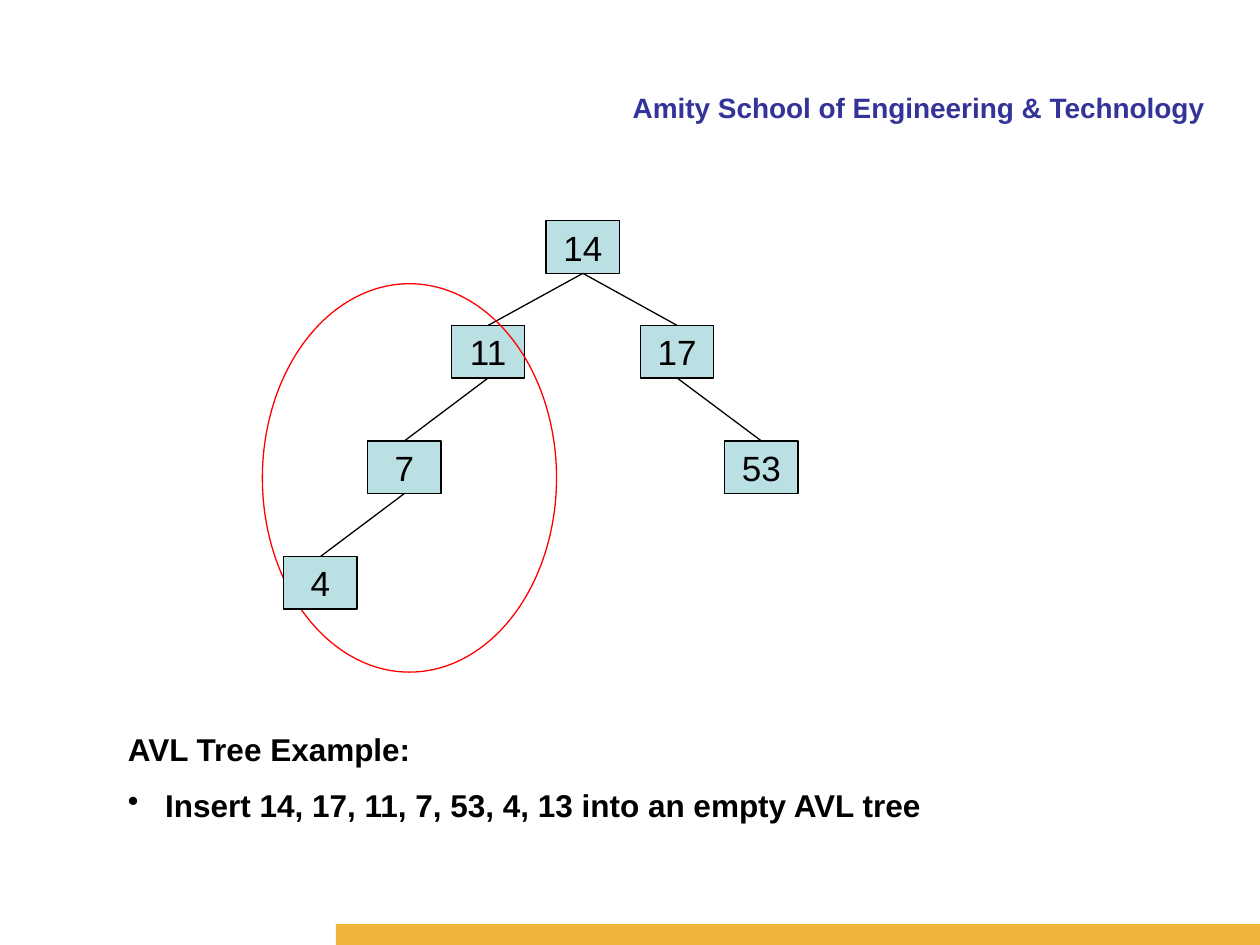
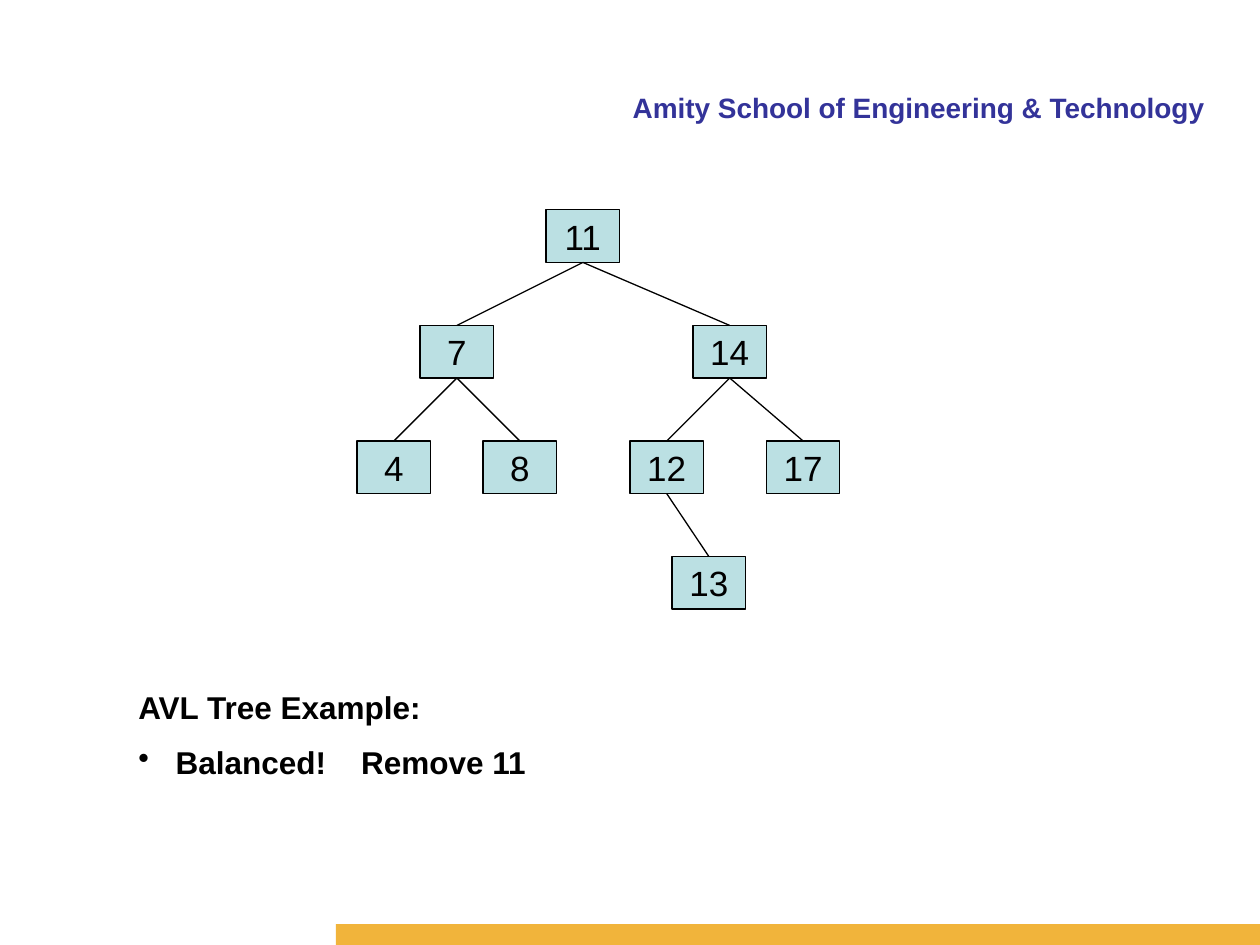
from lxml import etree
from pptx import Presentation
from pptx import util as u
from pptx.dml.color import RGBColor
from pptx.enum import shapes, text
from pptx.oxml import ns

SCHOOL = "Amity School of Engineering & Technology"
HEAD = "AVL Tree Example:"
FONT = "Arial"
HEX = {"title": "333399", "band": "F1B43B", "node": "BBE0E3",
       "ink": "000000", "ring": "FF0000"}

# Each node: value, parent, level, centre.
PAGES = [
    {"note": ["Insert 14, 17, 11, 7, 53, 4, 13 into an empty AVL tree"],
     "spot": (2.33, 14.6), "root": 4.45,
     "ring": {"under": 4, "box": (5.29, 5.72, 5.93, 7.83)},
     "tree": [(14, None, 0, 11.75), (17, 14, 1, 13.65), (11, 14, 1, 9.84),
              (7, 11, 2, 8.15), (53, 17, 2, 15.35), (4, 7, 3, 6.46)]},
    {"note": ["Balanced!", "Remove 11"],
     "spot": (2.54, 13.74), "root": 4.23, "ring": None,
     "tree": [(11, None, 0, 11.75), (7, 11, 1, 9.21), (14, 11, 1, 14.71),
              (4, 7, 2, 7.94), (8, 7, 2, 10.48), (12, 14, 2, 13.44),
              (17, 14, 2, 16.19), (13, 12, 3, 14.29)]},
]
WIDE, HIGH = 1.48, 1.06
ROW, STEP = 6.56, 2.33
KIND = shapes.MSO_SHAPE


def cms(*nums):
    return [u.Cm(n) for n in nums]


def color(name):
    return RGBColor.from_string(HEX[name])


def style(para, size, tint="ink", bold=False):
    font = para.font
    font.name, font.size, font.bold = FONT, u.Pt(size), bold
    font.color.rgb = color(tint)


def shape(slide, kind, box, fill=None, edge=None):
    item = slide.shapes.add_shape(kind, *cms(*box))
    item.shadow.inherit = False
    if fill:
        item.fill.solid()
        item.fill.fore_color.rgb = color(fill)
    else:
        item.fill.background()
    if edge:
        item.line.color.rgb = color(edge)
        item.line.width = u.Pt(0.75)
    else:
        item.line.fill.background()
    return item


def frame(slide):
    title = slide.shapes.title
    title.left, title.top, title.width, title.height = cms(10.37, 1.7, 14.17, 0.85)
    body = title.text_frame
    body.text = SCHOOL
    body.auto_size = text.MSO_AUTO_SIZE.NONE
    body.vertical_anchor = text.MSO_ANCHOR.TOP
    para = body.paragraphs[0]
    para.alignment = text.PP_ALIGN.RIGHT
    style(para, 16, "title", True)
    shape(slide, KIND.RECTANGLE, (6.77, 18.63, 18.63, 0.42), "band")


def caption(slide, spot, parts):
    body = slide.shapes.add_textbox(*cms(*spot, 19.9, 2.16)).text_frame
    body.word_wrap = True
    head = body.paragraphs[0]
    head.text = HEAD
    item = body.add_paragraph()
    props = item._p.get_or_add_pPr()
    props.set("marL", str(u.Cm(0.75)))
    props.set("indent", str(u.Cm(-0.75)))
    etree.SubElement(props, ns.qn("a:buChar")).set("char", "•")
    item.space_before = u.Pt(10)
    for spot, part in enumerate(parts):
        if spot:
            gap = item.add_run()
            gap.text = " "
            gap._r.get_or_add_rPr().set("spc", "1500")
        item.add_run().text = part
    for para in (head, item):
        style(para, 18, bold=True)


def node(slide, val, mid, top):
    box = shape(slide, KIND.RECTANGLE, (mid - WIDE / 2, top, WIDE, HIGH), "node", "ink")
    body = box.text_frame
    body.text = str(val)
    body.word_wrap = False
    body.vertical_anchor = text.MSO_ANCHOR.MIDDLE
    para = body.paragraphs[0]
    para.alignment = text.PP_ALIGN.CENTER
    style(para, 20)
    return box


def link(slide, upper, lower):
    line = slide.shapes.add_connector(shapes.MSO_CONNECTOR.STRAIGHT, 0, 0, 0, 0)
    line.begin_connect(upper, 2)
    line.end_connect(lower, 0)
    line.line.color.rgb = color("ink")
    line.line.width = u.Pt(0.75)
    etree.SubElement(line._element.spPr, ns.qn("a:effectLst"))


def draw(slide, page):
    boxes, ring = {}, page["ring"]
    for val, up, level, mid in page["tree"]:
        if ring and ring["under"] == val:
            shape(slide, KIND.OVAL, ring["box"], edge="ring")
        top = ROW + (level - 1) * STEP if level else page["root"]
        boxes[val] = node(slide, val, mid, top)
        if up is not None:
            link(slide, boxes[up], boxes[val])


def main():
    deck = Presentation()
    deck.slide_width, deck.slide_height = cms(25.4, 19.05)
    for page in PAGES:
        slide = deck.slides.add_slide(deck.slide_layouts[5])
        frame(slide)
        caption(slide, page["spot"], page["note"])
        draw(slide, page)
    deck.save("out.pptx")


if __name__ == "__main__":
    main()
